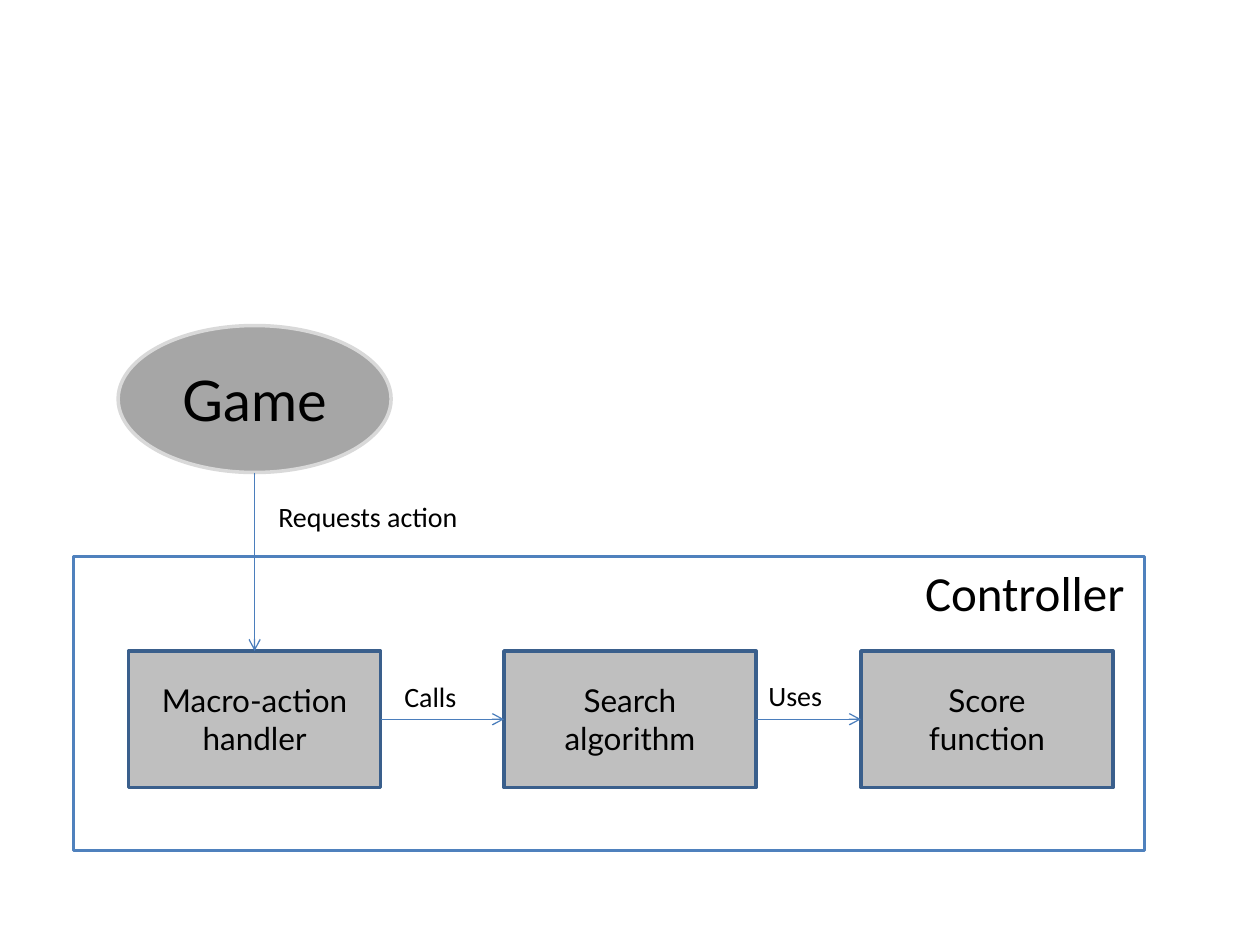
"""Builds a slide showing how a game requests actions from a layered controller."""
from dataclasses import dataclass

from lxml.etree import SubElement
from pptx import Presentation
from pptx.dml.color import RGBColor as Rgb
from pptx.enum.shapes import MSO_CONNECTOR as Link, MSO_SHAPE as Preset
from pptx.enum.text import MSO_ANCHOR as Anchor, MSO_AUTO_SIZE as Fit, PP_ALIGN as Align
from pptx.oxml.ns import qn
from pptx.util import Pt


@dataclass(frozen=True)
class Theme:
    paper: str = "FFFFFF"
    ink: str = "000000"
    frame_line: str = "4F81BD"
    game_fill: str = "A6A6A6"
    game_line: str = "D9D9D9"
    step_fill: str = "BFBFBF"
    step_line: str = "3A5F8C"
    arrow_line: str = "4B7EBC"
    shape_font: str = "Lato"
    label_font: str = "Calibri"
    game_size: float = 32
    heading_size: float = 28
    step_size: float = 18
    label_size: float = 16
    outline: float = 2
    arrow_width: float = 0.75


THEME = Theme()
PAGE_SIZE = (720, 540)
FRAME = (42, 318, 612, 168)
GAME = ("Game", (67.5, 186, 156, 84))
STEPS = [
    (("Macro-action", "handler"), 73.5),
    (("Search", "algorithm"), 288),
    (("Score", "function"), 492),
]
STEP_TOP, STEP_WIDTH, STEP_HEIGHT = 372, 144, 78
LABELS = [
    ("Controller", (521.5, 318, 132, 41), THEME.heading_size),
    ("Requests action", (152, 282, 208, 26.5), THEME.label_size),
    ("Calls", (224, 384.5, 60, 26.5), THEME.label_size),
    ("Uses", (432, 384, 60, 26.5), THEME.label_size),
]
TOP, LEFT, BOTTOM, RIGHT = range(4)


def write(box, lines, font, size, align):
    frame = box.text_frame
    frame.word_wrap = True
    frame.text = "\n".join(lines)
    for para in frame.paragraphs:
        para.alignment = align
        for span in para.runs:
            for name, value in {"name": font, "size": Pt(size)}.items():
                setattr(span.font, name, value)
            span.font.color.rgb = Rgb.from_string(THEME.ink)


def add_box(page, preset, place, fill, line):
    box = page.shapes.add_shape(preset, *map(Pt, place))
    box.shadow.inherit = False
    box.fill.solid()
    box.fill.fore_color.rgb = Rgb.from_string(fill)
    box.line.color.rgb = Rgb.from_string(line)
    box.line.width = Pt(THEME.outline)
    return box


def add_node(page, preset, place, fill, line, lines, size):
    box = add_box(page, preset, place, fill, line)
    write(box, lines, THEME.shape_font, size, Align.CENTER)
    box.text_frame.vertical_anchor = Anchor.MIDDLE
    return box


def add_label(page, text, place, size):
    box = page.shapes.add_textbox(*map(Pt, place))
    write(box, [text], THEME.label_font, size, Align.LEFT)
    box.text_frame.auto_size = Fit.SHAPE_TO_FIT_TEXT


def add_arrow(page, start, target, target_site):
    arrow = page.shapes.add_connector(Link.STRAIGHT, *start, *start)
    arrow.end_connect(target, target_site)
    arrow.line.color.rgb = Rgb.from_string(THEME.arrow_line)
    arrow.line.width = Pt(THEME.arrow_width)
    properties = arrow.element.spPr
    SubElement(properties.find(qn("a:ln")), qn("a:tailEnd"), type="arrow")
    SubElement(properties, qn("a:effectLst"))
    return arrow


def main():
    deck = Presentation()
    deck.slide_width, deck.slide_height = map(Pt, PAGE_SIZE)
    page = deck.slides.add_slide(deck.slide_layouts[6])

    add_box(page, Preset.RECTANGLE, FRAME, THEME.paper, THEME.frame_line)
    name, place = GAME
    game = add_node(page, Preset.OVAL, place, THEME.game_fill, THEME.game_line,
                    [name], THEME.game_size)
    steps = [
        add_node(page, Preset.RECTANGLE, (left, STEP_TOP, STEP_WIDTH, STEP_HEIGHT),
                 THEME.step_fill, THEME.step_line, lines, THEME.step_size)
        for lines, left in STEPS
    ]

    game_bottom = (game.left + game.width // 2, game.top + game.height)
    add_arrow(page, game_bottom, steps[0], TOP)
    for source, target in zip(steps, steps[1:]):
        source_side = (source.left + source.width, source.top + source.height // 2)
        arrow = add_arrow(page, source_side, target, LEFT)
        arrow.begin_connect(source, RIGHT)
    for label in LABELS:
        add_label(page, *label)
    deck.save("out.pptx")


if __name__ == "__main__":
    main()
